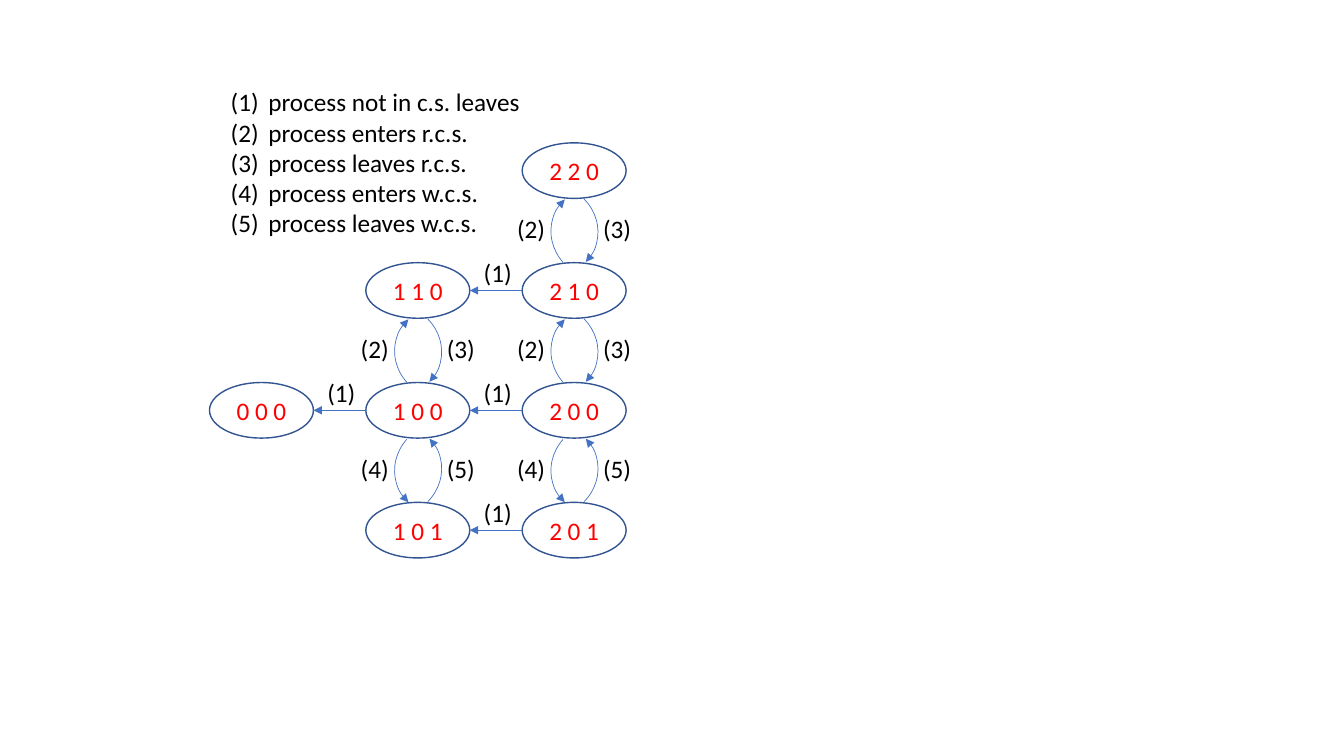
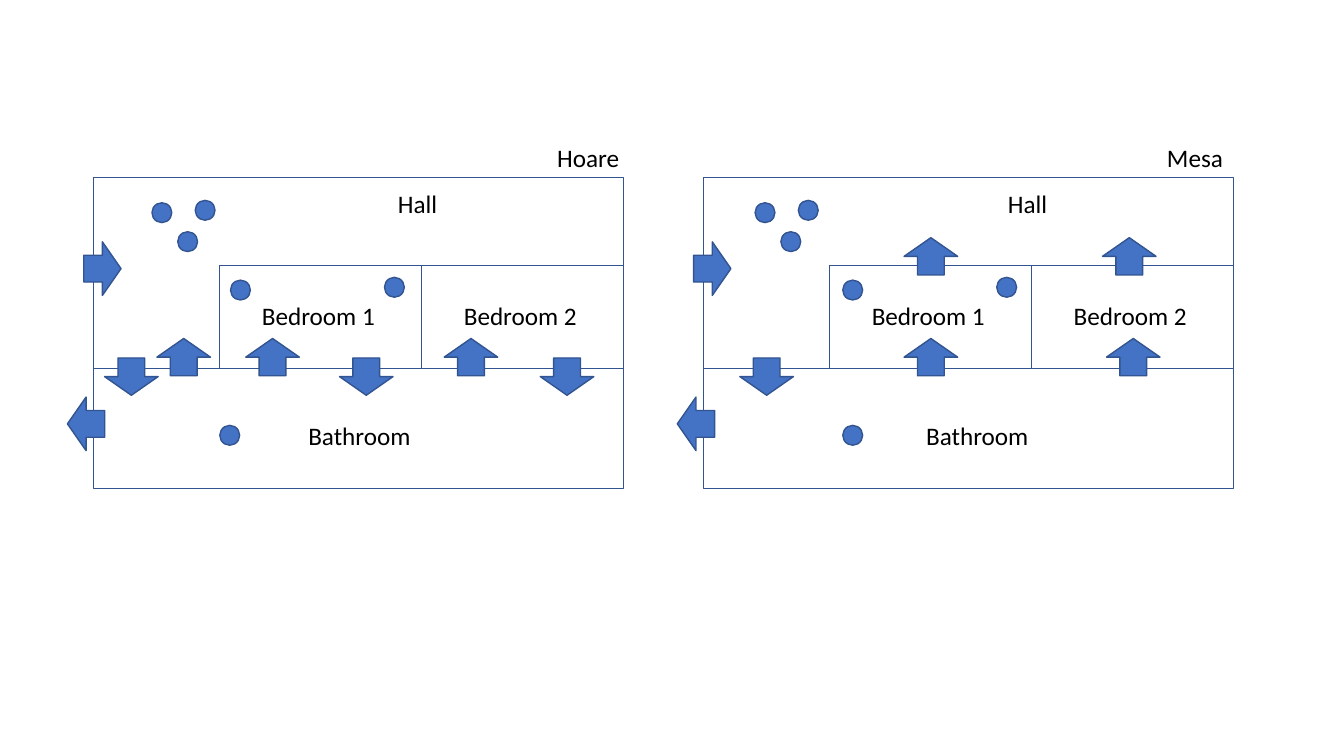
from collections import namedtuple

from lxml.etree import SubElement
from pptx import Presentation
from pptx.dml.color import RGBColor
from pptx.enum.shapes import MSO_CONNECTOR as Connector, MSO_SHAPE as Shape
from pptx.enum.text import MSO_ANCHOR as Anchor, MSO_AUTO_SIZE as AutoSize, PP_ALIGN as Align
from pptx.oxml.ns import qn
from pptx.util import Cm, Pt

FONT = "Calibri"
BLACK = RGBColor(0x00, 0x00, 0x00)
RED = RGBColor(0xFF, 0x00, 0x00)
BLUE = RGBColor(0x44, 0x72, 0xC4)
OUTLINE = RGBColor(0x32, 0x54, 0x91)

Box = namedtuple("Box", "left top width height")


# Shared parts
def style_text(para, color=BLACK):
    para.font.name = FONT
    para.font.size = Pt(18)
    para.font.color.rgb = color


def add_label(slide, left, top, width, text):
    frame = slide.shapes.add_textbox(Cm(left), Cm(top), Cm(width), Cm(1.02)).text_frame
    frame.word_wrap = False
    frame.auto_size = AutoSize.SHAPE_TO_FIT_TEXT
    frame.text = text
    style_text(frame.paragraphs[0])


def add_outlined(slide, kind, box, fill=None, line=OUTLINE, weight=1):
    shape = slide.shapes.add_shape(kind, *map(Cm, box))
    shape.shadow.inherit = False
    if fill is None:
        shape.fill.background()
    else:
        shape.fill.solid()
        shape.fill.fore_color.rgb = fill
    shape.line.color.rgb = line
    shape.line.width = Pt(weight)
    return shape


def add_arrowhead(shape):
    line = shape._element.spPr.find(qn("a:ln"))
    SubElement(line, qn("a:tailEnd"), type="triangle")


# State diagram: columns count processes, rows give the sections they are in
STATE = Box(0, 0, 2.62, 1.4)
COLUMN_STEP, ROW_STEP = 3.94, 3.02
STATES = {
    (2, 0): "2 2 0",
    (1, 1): "1 1 0", (2, 1): "2 1 0",
    (0, 2): "0 0 0", (1, 2): "1 0 0", (2, 2): "2 0 0",
    (1, 3): "1 0 1", (2, 3): "2 0 1",
}
EVENTS = [
    "process not in c.s. leaves",
    "process enters r.c.s.",
    "process leaves r.c.s.",
    "process enters w.c.s.",
    "process leaves w.c.s.",
]


def add_state(slide, left, top, text):
    oval = add_outlined(slide, Shape.OVAL, STATE._replace(left=left, top=top))
    frame = oval.text_frame
    frame.word_wrap = False
    frame.vertical_anchor = Anchor.MIDDLE
    frame.text = text
    para = frame.paragraphs[0]
    para.alignment = Align.CENTER
    style_text(para, RED)


def add_leave_arrow(slide, left, top):
    """Arrow from the state at left, top to its left neighbour."""
    middle = Cm(top + STATE.height / 2)
    target = Cm(left - COLUMN_STEP + STATE.width)
    arrow = slide.shapes.add_connector(Connector.STRAIGHT, Cm(left), middle, target, middle)
    arrow.line.color.rgb = BLUE
    arrow.line.width = Pt(0.5)
    SubElement(arrow._element.spPr, qn("a:effectLst"))
    add_arrowhead(arrow)
    add_label(slide, left - 1.22, top - 0.25, 1.22, "(1)")


def add_loop(slide, left, top, writing):
    """Two arcs between the state at left, top and the one below it."""
    if writing:
        arcs = [(0.69, 1.07, 131.9), (-0.36, 1.14, 315)]
        labels = "(4)", "(5)"
    else:
        arcs = [(0.69, 1.19, 228.1), (-0.36, 1.1, 45)]
        labels = "(2)", "(3)"
    for across, down, turn in arcs:
        arc = add_outlined(slide, Shape.ARC, Box(left + across, top + down, 2.3, 2.18),
                           line=BLUE, weight=0.5)
        arc.rotation = turn
        if writing:
            arc._element.spPr.xfrm.set("flipV", "1")
        add_arrowhead(arc)
    for across, text in zip((-0.38, 1.79), labels):
        add_label(slide, left + across, top + 1.65, 1.22, text)


def add_events(slide, box):
    body = slide.placeholders[1]
    body.left, body.top, body.width, body.height = map(Cm, box)
    frame = body.text_frame
    frame.word_wrap = False
    frame.auto_size = AutoSize.SHAPE_TO_FIT_TEXT
    frame.text = "\n".join(EVENTS)
    for para in frame.paragraphs:
        style_text(para)
        para.space_before = Pt(0)
        props = para._p.get_or_add_pPr()
        props.set("marL", str(Cm(0.95)))
        props.set("indent", str(Cm(-0.95)))
        SubElement(props, qn("a:buFont"), typeface="+mj-lt")
        SubElement(props, qn("a:buAutoNum"), type="arabicParenBoth")
        # Character defaults close the paragraph properties
        props.append(props.find(qn("a:defRPr")))


def add_state_diagram(slide, left, top):
    for (column, row), text in STATES.items():
        x, y = left + column * COLUMN_STEP, top + row * ROW_STEP
        add_state(slide, x, y, text)
        if (column - 1, row) in STATES:
            add_leave_arrow(slide, x, y)
        if (column, row + 1) in STATES:
            add_loop(slide, x, y, writing=row == 2)


# House plans: each monitor is a house, lengths count from its top left corner
HOUSE_WIDTH, HALL_HEIGHT, BATH_HEIGHT = 13.36, 4.82, 3.02
ROOM_WIDTH, ROOM_HEIGHT = 5.09, 2.6
ROOM_TOP = HALL_HEIGHT - ROOM_HEIGHT
UP, RIGHT, DOWN, LEFT = 0, 90, 180, 270

# Door groups are (direction, centre height, centres across)
DOORS_UP, DOORS_DOWN, DOORS_ROOF = HALL_HEIGHT - 0.29, HALL_HEIGHT + 0.2, ROOM_TOP - 0.23
SHARED_DOORS = [(RIGHT, 2.3, [0.22]), (LEFT, 6.21, [-0.19])]
HOARE = dict(
    name="Hoare", name_width=2.1, bath_label=5.16,
    hall_guests=1.47, room_guests=3.45, bath_guest=3.18,
    doors=[(UP, DOORS_UP, [2.27, 4.51, 9.51]), (DOWN, DOORS_DOWN, [0.95, 6.87, 11.93])],
)
MESA = dict(
    name="Mesa", name_width=1.95, bath_label=5.36,
    hall_guests=1.3, room_guests=3.51, bath_guest=3.51,
    doors=[(UP, DOORS_UP, [5.73, 10.83]), (DOWN, DOORS_DOWN, [1.59]),
           (UP, DOORS_ROOF, [5.73, 10.73])],
)


def add_house(slide, left, top, name, name_width, bath_label,
              hall_guests, room_guests, bath_guest, doors):
    # Walls and room names
    bath_top = top + HALL_HEIGHT
    add_outlined(slide, Shape.RECTANGLE, Box(left, bath_top, HOUSE_WIDTH, BATH_HEIGHT))
    for number in (1, 2):
        room_left = left + HOUSE_WIDTH - (3 - number) * ROOM_WIDTH
        add_outlined(slide, Shape.RECTANGLE,
                     Box(room_left, top + ROOM_TOP, ROOM_WIDTH, ROOM_HEIGHT))
        add_label(slide, room_left + 0.81, top + ROOM_TOP + 0.76, 3.4, f"Bedroom {number}")
    add_outlined(slide, Shape.RECTANGLE, Box(left, top, HOUSE_WIDTH, HALL_HEIGHT))
    add_label(slide, left + 7.42, top + 0.15, 1.52, "Hall")
    add_label(slide, left + bath_label, bath_top + 1.17, 3.12, "Bathroom")
    add_label(slide, left + 11.43, top - 1.02, name_width, name)

    # Doors
    width, height = 1.35, 0.94
    for direction, middle, centres in SHARED_DOORS + doors:
        for centre in centres:
            box = Box(left + centre - width / 2, top + middle - height / 2, width, height)
            add_outlined(slide, Shape.UP_ARROW, box, BLUE).rotation = direction

    # Guests
    guests = [
        (hall_guests, 0.64), (hall_guests + 1.09, 0.58), (hall_guests + 0.65, 1.37),
        (room_guests, 2.59), (room_guests + 3.88, 2.52), (bath_guest, 6.25),
    ]
    for across, down in guests:
        add_outlined(slide, Shape.OVAL, Box(left + across, top + down, 0.5, 0.5), BLUE)


# Slides
def build_states_slide(deck):
    slide = deck.slides.add_slide(deck.slide_layouts[1])
    title = slide.shapes.title._element
    title.getparent().remove(title)
    add_events(slide, Box(5.56, 2.06, 7.87, 4.11))
    add_state_diagram(slide, 5.28, 3.6)


def build_houses_slide(deck):
    slide = deck.slides.add_slide(deck.slide_layouts[6])
    add_house(slide, 2.36, 4.47, **HOARE)
    add_house(slide, 17.73, 4.47, **MESA)


deck = Presentation()
deck.slide_width, deck.slide_height = Cm(33.87), Cm(19.05)
build_states_slide(deck)
build_houses_slide(deck)
deck.save("out.pptx")
